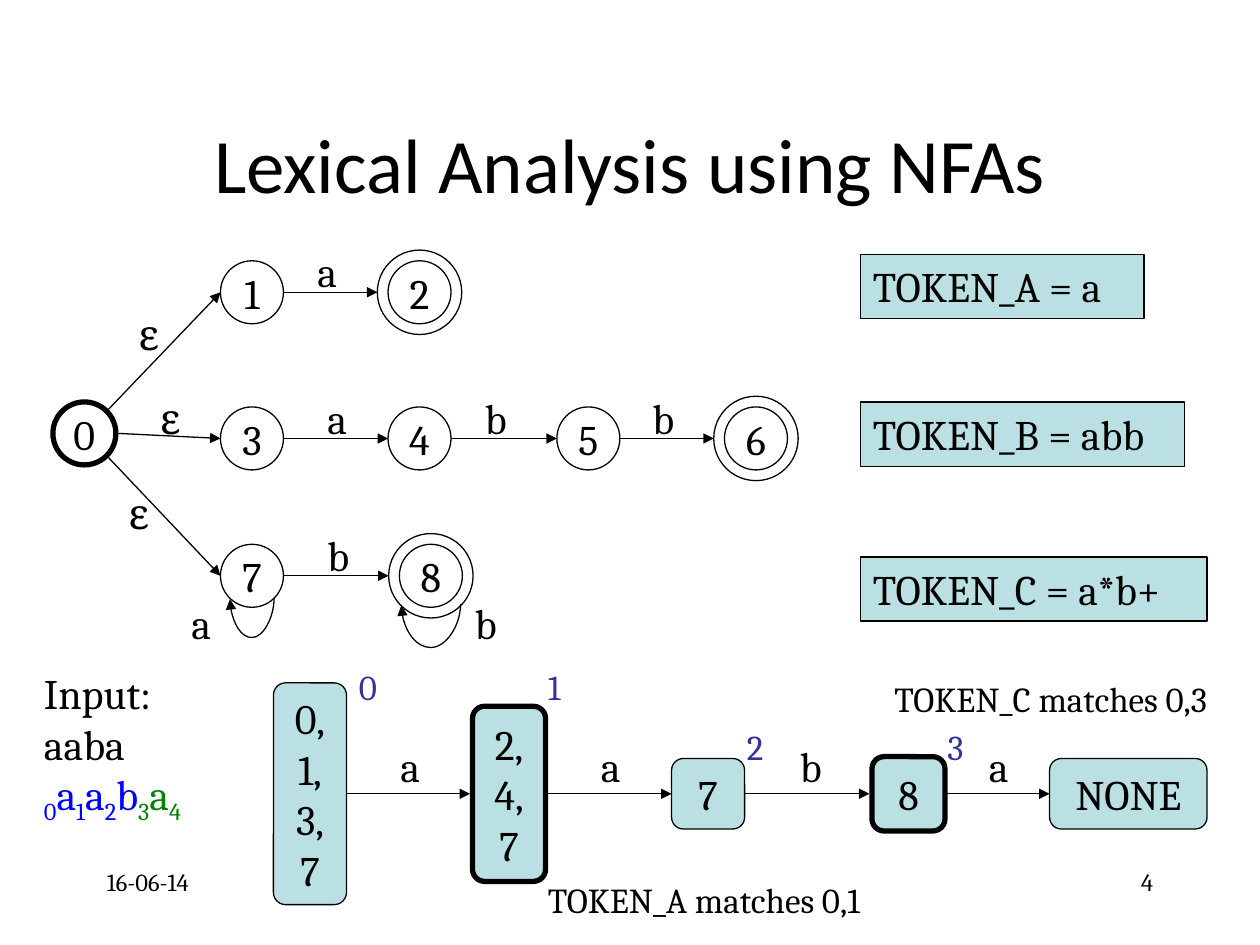
"""Build the slide on lexical analysis with NFAs."""
from dataclasses import dataclass
from math import cos, radians, sin

from lxml.etree import SubElement
from pptx import Presentation
from pptx.dml.color import RGBColor
from pptx.enum.shapes import MSO_CONNECTOR as LINK, MSO_SHAPE as SHAPE
from pptx.enum.text import MSO_ANCHOR as ANCHOR, MSO_AUTO_SIZE as AUTO, PP_ALIGN as ALIGN
from pptx.oxml.ns import qn
from pptx.util import Inches, Pt


@dataclass(frozen=True)
class Theme:
    heading: str = "Calibri"
    body: str = "Cambria"
    ink: str = "000000"
    box: str = "BBE0E3"
    position: str = "333399"
    matched: str = "0000FF"
    rest: str = "008000"
    title_size: int = 44
    text_size: int = 24
    note_size: int = 20
    footer_size: int = 14
    thin: float = 0.75
    thick: float = 3


THEME = Theme()

TITLE = "Lexical Analysis using NFAs"
STATES = {
    "0": (0.67, 3.44), "1": (2, 2.32), "2": (3.33, 2.32),
    "3": (2, 3.48), "4": (3.33, 3.48), "5": (4.67, 3.48), "6": (6, 3.48),
    "7": (2, 4.57), "8": (3.42, 4.57),
}
START, ACCEPTING = "0", "268"
RADIUS, RING = 0.25, 0.335
TRANSITIONS = [
    ("0", "1", "ε", 1, 2.4), ("0", "3", "ε", 1.17, 3.07), ("0", "7", "ε", 0.92, 3.82),
    ("1", "2", "a", 2.42, 1.9), ("3", "4", "a", 2.5, 3.07), ("4", "5", "b", 3.75, 3.07),
    ("5", "6", "b", 5.08, 3.07), ("7", "8", "b", 2.5, 4.15),
]
LOOPS = [
    (2, 4.75, 0.35, 0.32, "a", 1.42),
    (3.42, 4.8, 0.47, 0.35, "b", 3.67),
]
LOOP_LABEL_TOP = 4.69
TOKENS = [
    ("TOKEN_A = a", 2.02, 2.25),
    ("TOKEN_B = abb", 3.19, 2.57),
    ("TOKEN_C = a*b+", 4.42, 2.75),
]
INPUT = "Input: aaba"
MARKED_INPUT = [
    (char, char.isdigit(), THEME.matched if i < 6 else THEME.rest)
    for i, char in enumerate("0a1a2b3a4")
]
STEPS = [
    ("0,1,3,7", 2.17, 0.58, 1.76, False),
    ("2,4,7", 3.75, 0.58, 1.39, True),
    ("7", 5.33, 0.58, 0.56, False),
    ("8", 6.92, 0.58, 0.59, True),
    ("NONE", 8.33, 1.25, 0.56, False),
]
STEP_MIDDLE = 6.3
READS = [("a", 3.08), ("a", 4.67), ("b", 6.25), ("a", 7.75)]
POSITIONS = [("0", 2.75, 5.23), ("1", 4.25, 5.23), ("2", 5.83, 5.71), ("3", 7.42, 5.71)]
MATCHES = [("TOKEN_A matches 0,1", 4.25, 6.92), ("TOKEN_C matches 0,3", 7, 5.33)]
FOOTERS = [("16-06-14", 0.75, ALIGN.LEFT), ("4", 7.17, ALIGN.RIGHT)]


def color(value):
    return RGBColor.from_string(value)


def write(frame, words, size=THEME.text_size, ink=THEME.ink, align=ALIGN.LEFT,
          anchor=ANCHOR.TOP, wrap=False, face=THEME.body):
    frame.word_wrap = wrap
    frame.vertical_anchor = anchor
    paragraph = frame.paragraphs[0]
    paragraph.text = words
    paragraph.alignment = align
    set_font(paragraph, size, ink, face)


def set_font(paragraph, size, ink, face=THEME.body):
    paragraph.font.size = Pt(size)
    paragraph.font.name = face
    paragraph.font.color.rgb = color(ink)


def add_label(slide, words, left, top, width=0.35, height=0.5, grow=True, **style):
    label = slide.shapes.add_textbox(*map(Inches, (left, top, width, height)))
    write(label.text_frame, words, **style)
    if grow:
        label.text_frame.auto_size = AUTO.SHAPE_TO_FIT_TEXT
    return label


def add_outline(slide, kind, left, top, width, height, fill=None, weight=THEME.thin):
    outline = slide.shapes.add_shape(kind, *map(Inches, (left, top, width, height)))
    outline.shadow.inherit = False
    if fill:
        outline.fill.solid()
        outline.fill.fore_color.rgb = color(fill)
    else:
        outline.fill.background()
    outline.line.color.rgb = color(THEME.ink)
    outline.line.width = Pt(weight)
    return outline


def add_arrow(slide, x1, y1, x2, y2, kind=LINK.STRAIGHT):
    arrow = slide.shapes.add_connector(kind, *map(Inches, (x1, y1, x2, y2)))
    arrow.line.color.rgb = color(THEME.ink)
    arrow.line.width = Pt(THEME.thin)
    SubElement(arrow.line._get_or_add_ln(), qn("a:tailEnd"), type="triangle")
    SubElement(arrow._element.spPr, qn("a:effectLst"))
    return arrow


def add_loop(slide, x, y, span, depth):
    thickness = 0.01
    loop = add_arrow(slide, x - thickness / 2, y - span / 2,
                     x + thickness / 2, y + span / 2, LINK.CURVE)
    properties = loop._element.spPr
    properties.find(qn("a:xfrm")).set("rot", "5400000")
    guides = properties.find(qn("a:prstGeom")).find(qn("a:avLst"))
    bend = round(depth / thickness * 100000)
    SubElement(guides, qn("a:gd"), name="adj1", fmla=f"val {bend}")


def draw_automaton(slide):
    for state, (x, y) in STATES.items():
        weight = THEME.thick if state == START else THEME.thin
        circle = add_outline(slide, SHAPE.OVAL, x - RADIUS, y - RADIUS,
                             2 * RADIUS, 2 * RADIUS, weight=weight)
        write(circle.text_frame, state, align=ALIGN.CENTER, anchor=ANCHOR.MIDDLE)
        if state in ACCEPTING:
            add_outline(slide, SHAPE.OVAL, x - RING, y - RING, 2 * RING, 2 * RING)
    for source, target, symbol, left, top in TRANSITIONS:
        (x1, y1), (x2, y2) = STATES[source], STATES[target]
        angle = radians(45 * round(y2 - y1))
        reach = RADIUS + (0.02 if source == START else 0)
        entry = RING if target in ACCEPTING else RADIUS
        add_arrow(slide, x1 + reach * cos(angle), y1 + reach * sin(angle), x2 - entry, y2)
        add_label(slide, symbol, left, top)
    for x, y, span, depth, symbol, left in LOOPS:
        add_loop(slide, x, y, span, depth)
        add_label(slide, symbol, left, LOOP_LABEL_TOP)


def draw_input(slide):
    frame = add_label(slide, INPUT, 0.25, 5.25, 1.69, 0.9, wrap=True).text_frame
    marked = frame.add_paragraph()
    set_font(marked, THEME.text_size, THEME.matched)
    for char, lowered, ink in MARKED_INPUT:
        run = marked.add_run()
        run.text = char
        run.font.color.rgb = color(ink)
        if lowered:
            run._r.get_or_add_rPr().set("baseline", "-25000")


def draw_simulation(slide):
    for words, left, width, height, accepting in STEPS:
        step = add_outline(slide, SHAPE.ROUNDED_RECTANGLE, left, STEP_MIDDLE - height / 2,
                           width, height, THEME.box,
                           THEME.thick if accepting else THEME.thin)
        write(step.text_frame, words, align=ALIGN.CENTER, anchor=ANCHOR.MIDDLE, wrap=True)
        step.text_frame.auto_size = AUTO.SHAPE_TO_FIT_TEXT
    for before, after, (symbol, label_left) in zip(STEPS, STEPS[1:], READS):
        start = before[1] + before[2] + 0.02 * before[4]
        add_arrow(slide, start, STEP_MIDDLE, after[1] - 0.02 * after[4], STEP_MIDDLE)
        add_label(slide, symbol, label_left, 5.83)
    for words, left, top in MATCHES:
        add_label(slide, words, left, top, 2.87, 0.43, size=THEME.note_size)
    for words, left, top in POSITIONS:
        add_label(slide, words, left, top, 0.34, 0.43,
                  size=THEME.note_size, ink=THEME.position)


def main():
    deck = Presentation()
    deck.slide_width, deck.slide_height = Inches(10), Inches(7.5)
    slide = deck.slides.add_slide(deck.slide_layouts[5])
    title = slide.shapes.title
    title.left, title.top, title.width, title.height = map(Inches, (0.75, 0.67, 8.5, 1.25))
    write(title.text_frame, TITLE, THEME.title_size, align=ALIGN.CENTER,
          anchor=ANCHOR.MIDDLE, wrap=True, face=THEME.heading)
    for words, left, align in FOOTERS:
        add_label(slide, words, left, 6.83, 2.08, grow=False,
                  size=THEME.footer_size, align=align, wrap=True)
    draw_automaton(slide)
    for words, top, width in TOKENS:
        token = add_outline(slide, SHAPE.RECTANGLE, 6.83, top, width, 0.51, THEME.box)
        write(token.text_frame, words)
    draw_input(slide)
    draw_simulation(slide)
    deck.save("out.pptx")


if __name__ == "__main__":
    main()
